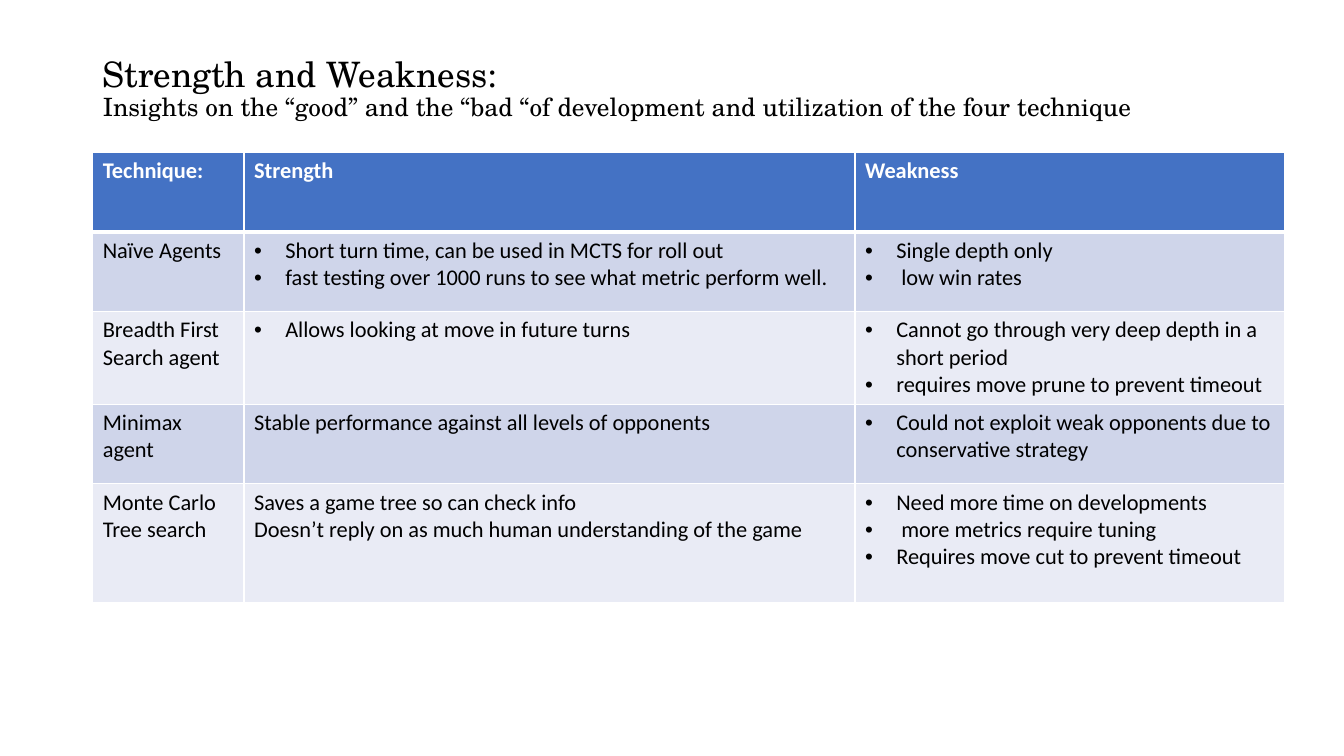
"""Build a slide comparing the strengths and weaknesses of four game agents."""
from dataclasses import dataclass

from lxml.etree import SubElement
from pptx import Presentation
from pptx.dml.color import RGBColor
from pptx.enum.text import MSO_ANCHOR, MSO_AUTO_SIZE, PP_ALIGN
from pptx.oxml.ns import qn
from pptx.util import Inches, Pt

WHITE = RGBColor(0xFF, 0xFF, 0xFF)
BLACK = RGBColor(0x00, 0x00, 0x00)
HEADER_BLUE = RGBColor(0x44, 0x72, 0xC4)
BAND_DARK = RGBColor(0xCF, 0xD5, 0xEA)
BAND_LIGHT = RGBColor(0xE9, 0xEB, 0xF5)

TITLE_FONT = "TeX Gyre Schola"
TABLE_FONT = "Calibri"
COLUMN_WIDTHS = (1.5, 6.06, 4.26)
BULLET_INDENT = Inches(0.31)


@dataclass
class Entry:
    lines: tuple[str, ...]
    bulleted: bool = False


@dataclass
class Row:
    height: float
    entries: tuple[Entry, ...]


def plain(*lines: str) -> Entry:
    """Describe a cell of plain lines."""
    return Entry(lines)


def bullets(*lines: str) -> Entry:
    """Describe a cell of bulleted lines."""
    return Entry(lines, bulleted=True)


ROWS = (
    Row(0.79, (plain("Technique:"), plain("Strength"), plain("Weakness"))),
    Row(0.79, (
        plain("Naïve Agents"),
        bullets("Short turn time, can be used in MCTS for roll out",
                "fast testing over 1000 runs to see what metric perform well."),
        bullets("Single depth only", " low win rates"),
    )),
    Row(0.92, (
        plain("Breadth First Search agent"),
        bullets("Allows looking at move in future turns"),
        bullets("Cannot go through very deep depth in a short period",
                "requires move prune to prevent timeout"),
    )),
    Row(0.79, (
        plain("Minimax agent"),
        plain("Stable performance against all levels of opponents"),
        bullets("Could not exploit weak opponents due to conservative strategy"),
    )),
    Row(1.18, (
        plain("Monte Carlo Tree search"),
        plain("Saves a game tree so can check info",
              "Doesn’t reply on as much human understanding of the game"),
        bullets("Need more time on developments",
                " more metrics require tuning",
                "Requires move cut to prevent timeout"),
    )),
)


def add_span(para, text: str, font: str, size: float, color: RGBColor, bold: bool = False) -> None:
    """Add one formatted run to a paragraph."""
    span = para.add_run()
    span.text = text
    span.font.name = font
    span.font.size = Pt(size)
    span.font.bold = bold
    span.font.color.rgb = color


def add_bullet(para) -> None:
    """Give a paragraph a round bullet and a hanging indent."""
    properties = para._p.get_or_add_pPr()
    properties.set("marL", str(BULLET_INDENT))
    properties.set("indent", str(-BULLET_INDENT))
    SubElement(properties, qn("a:buFont")).set("typeface", "Arial")
    SubElement(properties, qn("a:buChar")).set("char", "•")


def add_borders(cell, bottom: float, top: float) -> None:
    """Draw white borders around a cell."""
    properties = cell._tc.get_or_add_tcPr()
    for side, width in (("L", 1), ("R", 1), ("T", top), ("B", bottom)):
        line = SubElement(properties, qn(f"a:ln{side}"))
        line.set("w", str(Pt(width)))
        fill = SubElement(line, qn("a:solidFill"))
        SubElement(fill, qn("a:srgbClr")).set("val", str(WHITE))


def fill_cell(cell, entry: Entry, row_index: int) -> None:
    """Write and format one table cell."""
    header = row_index == 0
    add_borders(cell, bottom=3 if header else 1, top=3 if row_index == 1 else 1)
    cell.fill.solid()
    band = BAND_DARK if row_index % 2 else BAND_LIGHT
    cell.fill.fore_color.rgb = HEADER_BLUE if header else band
    for index, text in enumerate(entry.lines):
        frame = cell.text_frame
        para = frame.add_paragraph() if index else frame.paragraphs[0]
        if entry.bulleted:
            add_bullet(para)
        add_span(para, text, TABLE_FONT, 16, WHITE if header else BLACK, header)


def add_title(page) -> None:
    """Place the two-line title."""
    title = page.shapes.title
    title.left, title.top = Inches(0.92), Inches(0.4)
    title.width, title.height = Inches(11.5), Inches(0.98)
    frame = title.text_frame
    frame.word_wrap = True
    frame.auto_size = MSO_AUTO_SIZE.NONE
    frame.vertical_anchor = MSO_ANCHOR.MIDDLE
    para = frame.paragraphs[0]
    para.alignment = PP_ALIGN.LEFT
    para.line_spacing = 0.9
    add_span(para, "Strength and Weakness:", TITLE_FONT, 25, BLACK)
    para.add_line_break()
    add_span(para, "Insights on the “good” and the “bad “of development and "
             "utilization of the four technique", TITLE_FONT, 18, BLACK)


def add_comparison(page) -> None:
    """Place the comparison table."""
    table = page.shapes.add_table(
        len(ROWS), len(COLUMN_WIDTHS), Inches(0.92), Inches(1.51),
        Inches(sum(COLUMN_WIDTHS)), Inches(sum(row.height for row in ROWS)),
    ).table
    for column, width in zip(table.columns, COLUMN_WIDTHS):
        column.width = Inches(width)
    for row_index, row in enumerate(ROWS):
        table.rows[row_index].height = Inches(row.height)
        for column_index, entry in enumerate(row.entries):
            fill_cell(table.cell(row_index, column_index), entry, row_index)


def main() -> None:
    """Create and save the deck."""
    deck = Presentation()
    deck.slide_width, deck.slide_height = Inches(13.33), Inches(7.5)
    page = deck.slides.add_slide(deck.slide_layouts[5])
    add_title(page)
    add_comparison(page)
    deck.save("out.pptx")


if __name__ == "__main__":
    main()
